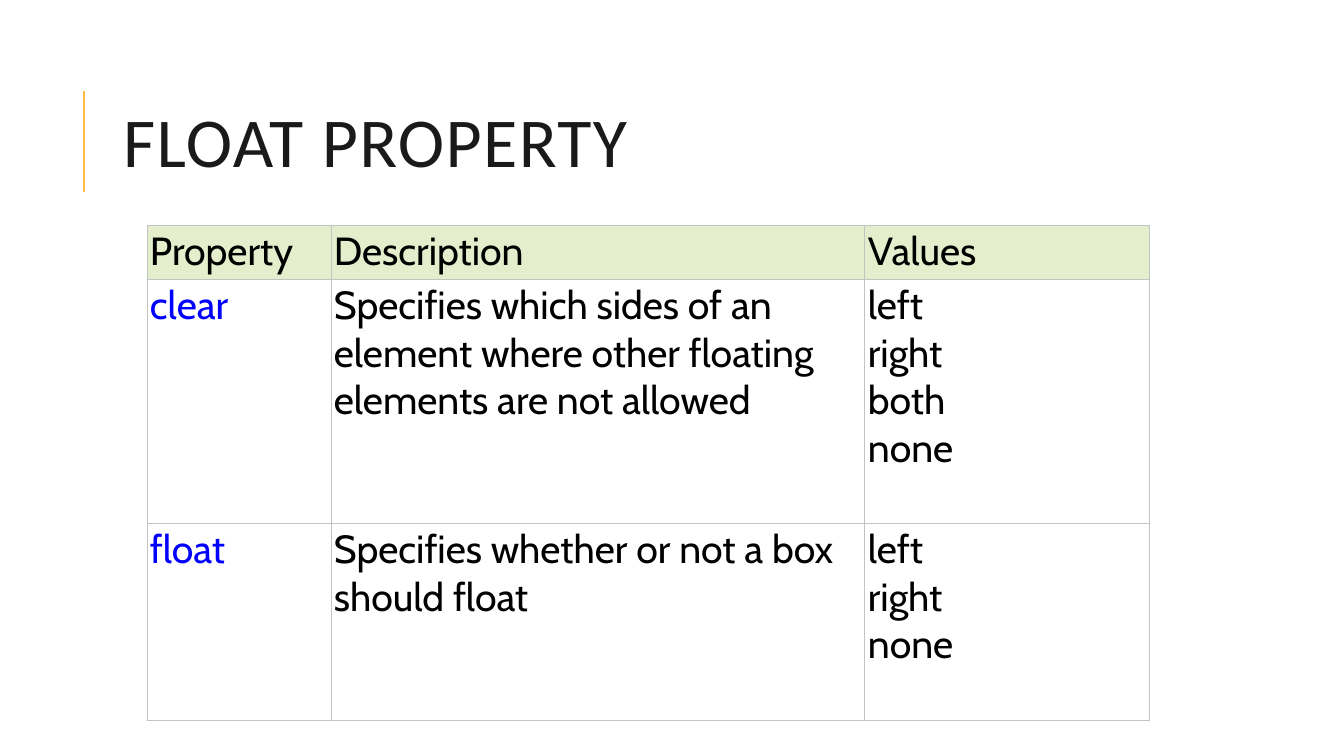
from pptx import Presentation
from pptx.dml.color import RGBColor
from pptx.enum.shapes import MSO_CONNECTOR
from pptx.enum.text import MSO_ANCHOR, MSO_AUTO_SIZE, PP_ALIGN
from pptx.oxml import parse_xml
from pptx.oxml.ns import nsdecls, qn
from pptx.util import Emu, Pt

SCALE = 914400 / 100.8
HEAD = ["Property", "Description", "Values"]
ROWS = [
    ["clear", "Specifies which sides of an element where other floating "
              "elements are not allowed", "left\vright\vboth\vnone"],
    ["float", "Specifies whether or not a box should float",
     "left\vright\vnone"],
]


def px(count):
    return Emu(round(count * SCALE))


def color(code):
    return RGBColor.from_string(code)


class Deck:
    ink, title_ink, link = "000000", "1A1A1A", "0000FF"
    band, plain, grid, accent = "E5EECC", "FFFFFF", "C3C3C3", "FFBD47"

    def __init__(self):
        self.file = Presentation()
        self.file.slide_width, self.file.slide_height = px(1344), px(756)
        self.slide = self.file.slides.add_slide(self.file.slide_layouts[5])

    def style(self, para, face, size, ink):
        para.font.name, para.font.size = face, Pt(size)
        para.font.color.rgb = color(ink)

    def title(self, text, left, top, width, height):
        shape = self.slide.shapes.title
        shape.left, shape.top = px(left), px(top)
        shape.width, shape.height = px(width), px(height)
        frame = shape.text_frame
        frame.text = text
        frame.word_wrap = True
        frame.auto_size = MSO_AUTO_SIZE.NONE
        frame.vertical_anchor = MSO_ANCHOR.MIDDLE
        para = frame.paragraphs[0]
        para.alignment = PP_ALIGN.LEFT
        para.line_spacing = 0.8
        self.style(para, "Calibri", 50, self.title_ink)
        para._p.pPr.find(qn("a:defRPr")).set("spc", "100")

    def rule(self, x, start, end):
        line = self.slide.shapes.add_connector(
            MSO_CONNECTOR.STRAIGHT, px(x), px(start), px(x), px(end))
        line.line.color.rgb = color(self.accent)
        line.line.width = Pt(1.5)
        line._element.spPr.append(
            parse_xml(f"<a:effectLst {nsdecls('a')}/>"))

    def border(self, cell):
        """Draw the four sides; they must come before the cell's fill."""
        props = cell._tc.get_or_add_tcPr()
        for spot, side in enumerate(("lnL", "lnR", "lnT", "lnB")):
            props.insert(spot, parse_xml(
                f'<a:{side} {nsdecls("a")} w="{Pt(0.75)}"><a:solidFill>'
                f'<a:srgbClr val="{self.grid}"/></a:solidFill></a:{side}>'))

    def cell(self, cell, text, fill, ink):
        cell.text = text
        cell.margin_left = cell.margin_right = px(3)
        cell.margin_top = cell.margin_bottom = px(3)
        cell.vertical_anchor = MSO_ANCHOR.TOP
        cell.fill.solid()
        cell.fill.fore_color.rgb = color(fill)
        self.style(cell.text_frame.paragraphs[0], "Cabin", 28, ink)
        self.border(cell)

    def table(self, data, left, top, widths, heights):
        table = self.slide.shapes.add_table(
            len(heights), len(widths), px(left), px(top),
            px(sum(widths)), px(sum(heights))).table
        table.first_row = table.horz_banding = False
        for col, width in zip(table.columns, widths):
            col.width = px(width)
        for row, height in zip(table.rows, heights):
            row.height = px(height)
        for r, texts in enumerate(data):
            for c, text in enumerate(texts):
                fill = self.plain if r else self.band
                ink = self.link if r and c == 0 else self.ink
                self.cell(table.cell(r, c), text, fill, ink)


def main():
    deck = Deck()
    deck.rule(84, 192, 91)
    deck.title("FLOAT PROPERTY", 113, 65, 1072, 164)
    deck.table([HEAD] + ROWS, 147, 225, [184, 534, 285], [54, 244, 197])
    deck.file.save("out.pptx")


if __name__ == "__main__":
    main()
